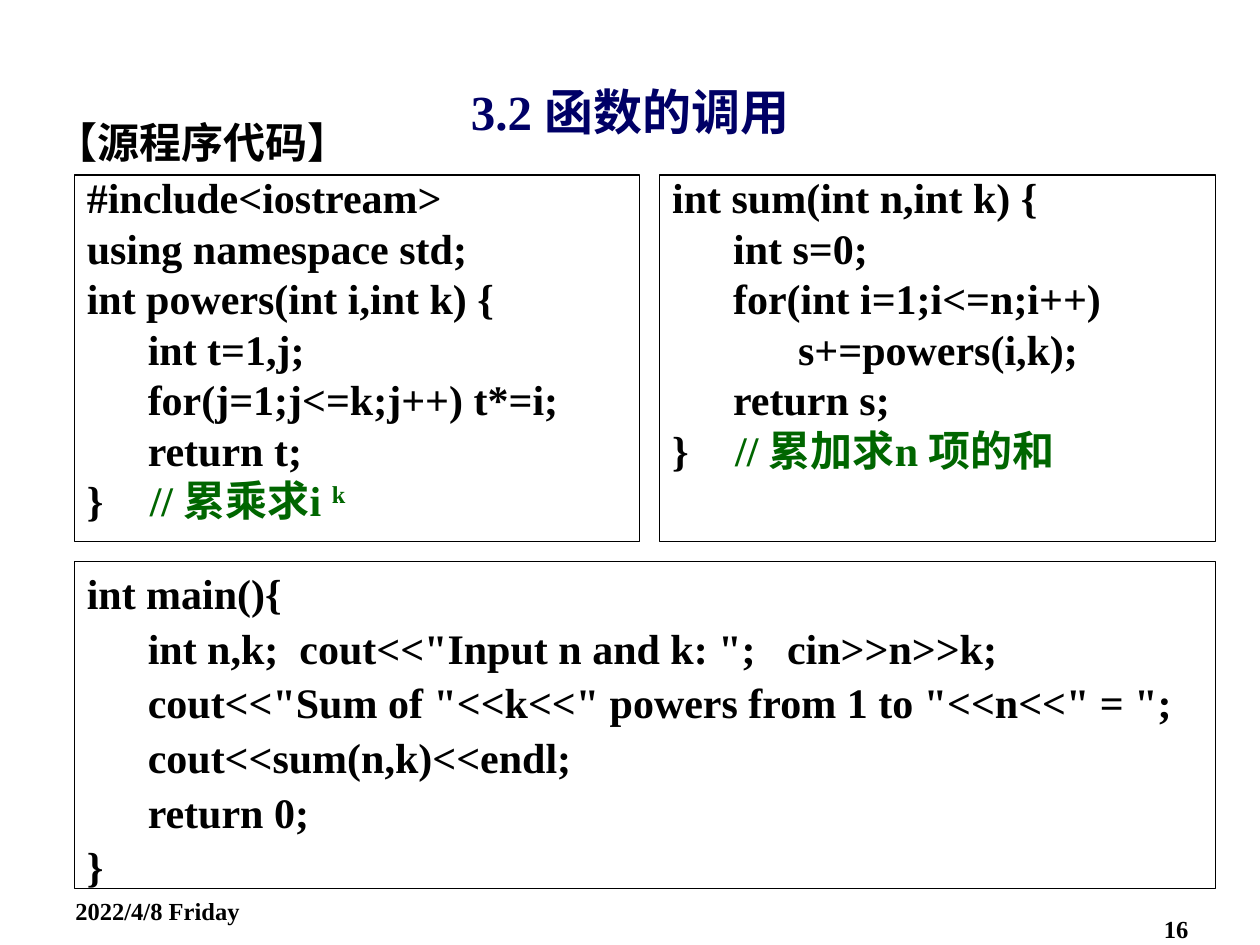
from pptx import Presentation
from pptx.dml.color import RGBColor
from pptx.enum import shapes, text
from pptx.oxml import xmlchemy as xc
from pptx.oxml.ns import qn
from pptx.util import Cm, Pt

FONT = "Times New Roman"
BLACK, NAVY, GREEN = "000000", "000066", "006600"

TITLE = "3.2 函数的调用"
HEADING = "【源程序代码】"
DATE, NUMBER = "2022/4/8 Friday", "16"

# Code lines are (indent level, code, comment, superscript of the comment)
POWERS = [
    (0, "#include<iostream>"),
    (0, "using namespace std;"),
    (0, "int powers(int i,int k) {"),
    (1, "int t=1,j;"),
    (1, "for(j=1;j<=k;j++) t*=i;"),
    (1, "return t;"),
    (0, "}", "// 累乘求i ", "k"),
]
SUM = [
    (0, "int sum(int n,int k) {"),
    (1, "int s=0;"),
    (1, "for(int i=1;i<=n;i++)"),
    (2, "s+=powers(i,k);"),
    (1, "return s;"),
    (0, "}", "// 累加求n 项的和"),
]
MAIN = [
    (0, "int main(){"),
    (1, 'int n,k;  cout<<"Input n and k: ";   cin>>n>>k;'),
    (1, 'cout<<"Sum of "<<k<<" powers from 1 to "<<n<<" = ";'),
    (1, "cout<<sum(n,k)<<endl;"),
    (1, "return 0;"),
    (0, "}"),
]
INDENTS = [0, 1.23, 2.54]  # cm, by level

# (lines, box in cm, line spacing, space before in pt, comment column in cm)
LEFT, RIGHT, GAP = 1.5, 24.51, 0.4
TOP, HEIGHT, LEFT_WIDTH = 3.53, 7.39, 11.4
SUM_LEFT = LEFT + LEFT_WIDTH + GAP
BLOCKS = [
    (POWERS, (LEFT, TOP, LEFT_WIDTH, HEIGHT), 0.8, 5.8, 5.84),
    (SUM, (SUM_LEFT, TOP, RIGHT - SUM_LEFT, HEIGHT), 0.8, 5.8, 3.5),
    (MAIN, (LEFT, TOP + HEIGHT + GAP, RIGHT - LEFT, 6.6), 1.0, 2.4, None),
]


def rgb(color):
    return RGBColor.from_string(color)


def set_font(font, size, color):
    font.name, font.size, font.bold = FONT, Pt(size), True
    font.color.rgb = rgb(color)


def place(shape, box):
    shape.left, shape.top, shape.width, shape.height = map(Cm, box)


def write(shape, words, size, color, align, anchor=text.MSO_ANCHOR.TOP):
    tf = shape.text_frame
    tf.word_wrap, tf.auto_size = True, text.MSO_AUTO_SIZE.NONE
    tf.vertical_anchor = anchor
    p = tf.paragraphs[0]
    p.text, p.alignment = words, align
    set_font(p.font, size, color)
    return p


def set_indent(p, cm):
    pPr = p._p.get_or_add_pPr()
    pPr.set("marL", str(Cm(cm)))
    pPr.set("indent", "0")
    return pPr


def add_tab_stop(pPr, cm):
    tabs = pPr.makeelement(qn("a:tabLst"), {})
    tabs.append(tabs.makeelement(qn("a:tab"), {"pos": str(Cm(cm)), "algn": "l"}))
    pPr.insert_element_before(tabs, "a:defRPr", "a:extLst")


def add_code(slide, lines, box, spacing, before, column):
    s = slide.shapes.add_shape(shapes.MSO_SHAPE.RECTANGLE, *map(Cm, box))
    s.shadow.inherit = False
    s.fill.background()
    s.line.color.rgb, s.line.width = rgb(BLACK), Pt(0.75)
    tf = s.text_frame
    tf.word_wrap, tf.vertical_anchor = True, text.MSO_ANCHOR.TOP
    for i, (level, code, *comment) in enumerate(lines):
        p = tf.add_paragraph() if i else tf.paragraphs[0]
        p.alignment = text.PP_ALIGN.LEFT
        p.line_spacing, p.space_before = spacing, Pt(before)
        set_font(p.font, 24, BLACK)
        pPr = set_indent(p, INDENTS[level])
        p.add_run().text = code + ("\t" if comment else "")
        if comment:
            add_tab_stop(pPr, column)
        for j, words in enumerate(comment):
            r = p.add_run()
            r.text = words
            r.font.color.rgb = rgb(GREEN)
            if j:
                r.font._element.set("baseline", "30000")


def main():
    prs = Presentation()
    prs.slide_width, prs.slide_height = Cm(25.4), Cm(19.05)
    slide = prs.slides.add_slide(prs.slide_layouts[1])
    left, right = text.PP_ALIGN.LEFT, text.PP_ALIGN.RIGHT

    title, body = slide.placeholders
    place(title, (1.27, 1.37, 22.86, 1.75))
    write(title, TITLE, 28, NAVY, text.PP_ALIGN.CENTER, text.MSO_ANCHOR.MIDDLE)

    place(body, (0.86, 2.13, 23.62, 1.6))
    p = write(body, HEADING, 24, BLACK, left)
    p.line_spacing, p.space_before = 1.1, Pt(7.2)
    pPr = set_indent(p, 0)
    pPr.insert_element_before(pPr.makeelement(qn("a:buNone"), {}),
                              "a:tabLst", "a:defRPr", "a:extLst")

    for block in BLOCKS:
        add_code(slide, *block)

    for words, x, y, align in [(DATE, 1.27, 17.93, left),
                               (NUMBER, 18.29, 18.31, right)]:
        s = slide.shapes.add_textbox(*map(Cm, (x, y, 5.92, 0.74)))
        write(s, words, 14, BLACK, align)

    prs.save("out.pptx")


if __name__ == "__main__":
    main()
